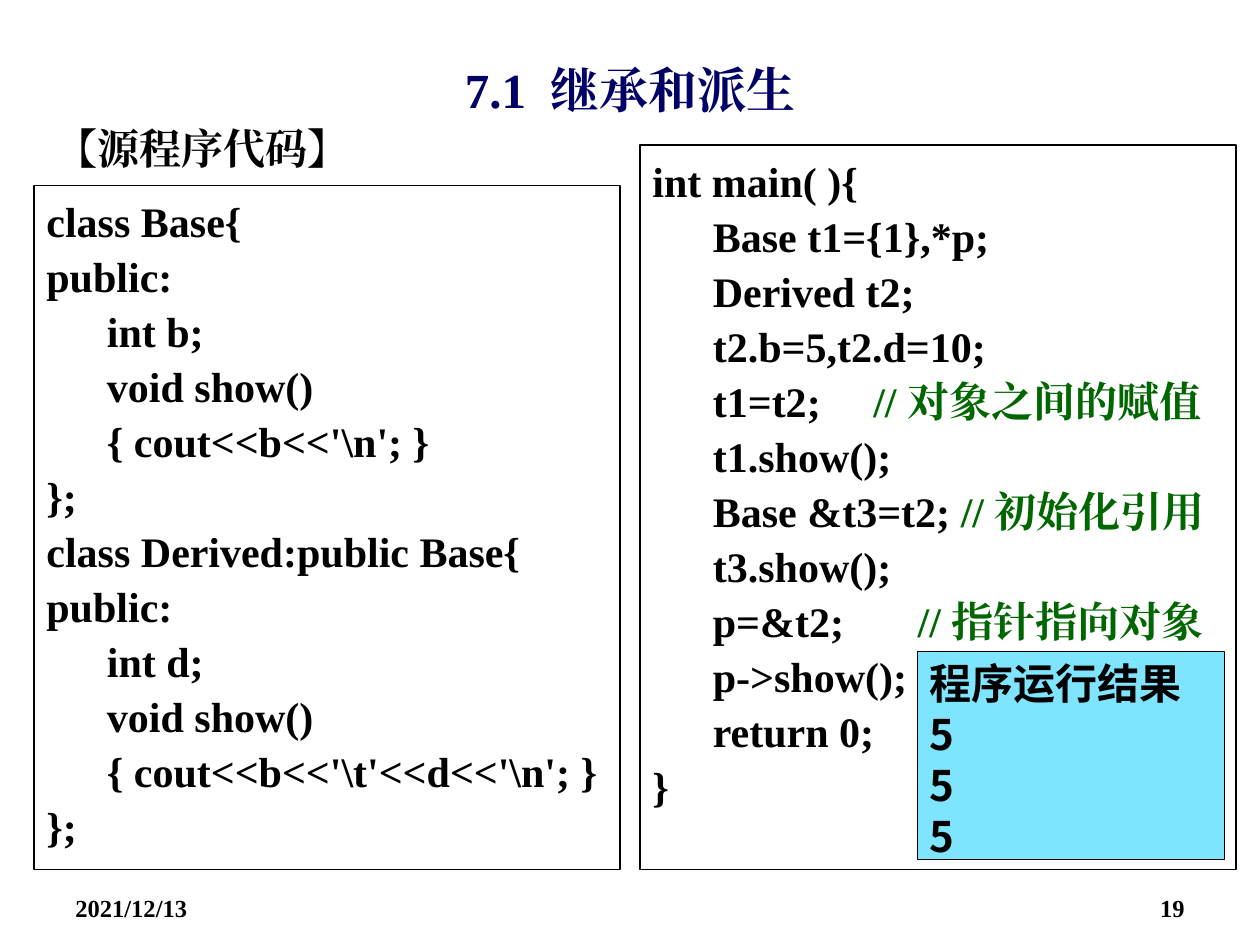
from dataclasses import dataclass

from lxml import etree
from pptx import Presentation
from pptx.dml.color import RGBColor
from pptx.enum.shapes import MSO_SHAPE
from pptx.enum.text import MSO_ANCHOR, PP_ALIGN
from pptx.oxml.ns import qn
from pptx.util import Inches, Pt

RECT = MSO_SHAPE.RECTANGLE
TOP, MIDDLE = MSO_ANCHOR.TOP, MSO_ANCHOR.MIDDLE
LEFT, CENTER, RIGHT = PP_ALIGN.LEFT, PP_ALIGN.CENTER, PP_ALIGN.RIGHT


@dataclass(frozen=True)
class Theme:
    serif: str = "Times New Roman"
    sans: str = "Noto Sans CJK SC"
    ink: str = "000000"
    title: str = "000066"
    comment: str = "006600"
    result: str = "00CCFF"
    result_alpha: int = 50
    title_size: int = 28
    text_size: int = 24
    footer_size: int = 14
    code_pitch: float = 31.4
    result_pitch: float = 29
    border: float = 0.75


THEME = Theme()

# Content: code lines are (indent level, code, comment)
TITLE = "7.1  继承和派生"
HEADING = "【源程序代码】"
DATE, PAGE = "2021/12/13", "19"
CLASSES = [
    (0, "class Base{", ""),
    (0, "public:", ""),
    (1, "int b;", ""),
    (1, "void show()", ""),
    (1, r"{ cout<<b<<'\n'; }", ""),
    (0, "};", ""),
    (0, "class Derived:public Base{", ""),
    (0, "public:", ""),
    (1, "int d;", ""),
    (1, "void show()", ""),
    (1, r"{ cout<<b<<'\t'<<d<<'\n'; }", ""),
    (0, "};", ""),
]
MAIN = [
    (0, "int main( ){", ""),
    (1, "Base t1={1},*p;", ""),
    (1, "Derived t2;", ""),
    (1, "t2.b=5,t2.d=10;", ""),
    (1, "t1=t2;     ", "// 对象之间的赋值"),
    (1, "t1.show();", ""),
    (1, "Base &t3=t2; ", "// 初始化引用"),
    (1, "t3.show();", ""),
    (1, "p=&t2;       ", "// 指针指向对象"),
    (1, "p->show();", ""),
    (1, "return 0;", ""),
    (0, "}", ""),
]
RESULTS = [(0, line, "") for line in ("程序运行结果", "5", "5", "5")]

# Layout in inches: both code panels end on one base line
WIDTH, HEIGHT = 10, 7.5
MARGIN = 0.5
BASE = 6.9
FOOTER_TOP, FOOTER_W, FOOTER_H = 7.06, 2.33, 0.29
INDENTS = [(0.38, -0.38), (0.78, -0.3)]


def style_run(run, size, color=THEME.ink, face=THEME.serif):
    run.font.size = Pt(size)
    run.font.bold = True
    run.font.name = face
    run.font.color.rgb = RGBColor.from_string(color)
    east_asian = etree.SubElement(run.font._element, qn("a:ea"))
    east_asian.set("typeface", face)


def set_line(shape, text, size, color=THEME.ink, align=LEFT, anchor=MIDDLE):
    frame = shape.text_frame
    frame.text = text
    frame.word_wrap = True
    frame.vertical_anchor = anchor
    paragraph = frame.paragraphs[0]
    paragraph.alignment = align
    style_run(paragraph.runs[0], size, color)


def add_line(slide, box, text, size, **options):
    set_line(slide.shapes.add_textbox(*map(Inches, box)), text, size, **options)


def add_panel(slide, box, lines, pitch, face=THEME.serif):
    panel = slide.shapes.add_shape(RECT, *map(Inches, box))
    panel.shadow.inherit = False
    panel.fill.background()
    panel.line.color.rgb = RGBColor.from_string(THEME.ink)
    panel.line.width = Pt(THEME.border)
    frame = panel.text_frame
    frame.word_wrap = True
    frame.vertical_anchor = TOP
    for number, (level, code, comment) in enumerate(lines):
        paragraph = frame.add_paragraph() if number else frame.paragraphs[0]
        paragraph.alignment = LEFT
        paragraph.level = level
        paragraph.line_spacing = Pt(pitch)
        left, hanging = INDENTS[level]
        properties = paragraph._p.get_or_add_pPr()
        properties.set("marL", str(Inches(left)))
        properties.set("indent", str(Inches(hanging)))
        for text, color in ((code, THEME.ink), (comment, THEME.comment)):
            if text:
                run = paragraph.add_run()
                run.text = text
                style_run(run, THEME.text_size, color, face)
    return panel


def main():
    deck = Presentation()
    deck.slide_width, deck.slide_height = Inches(WIDTH), Inches(HEIGHT)
    slide = deck.slides.add_slide(deck.slide_layouts.get_by_name("Title Only"))

    # Title and heading
    title = slide.shapes.title
    title.left, title.top = Inches(MARGIN), Inches(0.36)
    title.width, title.height = Inches(WIDTH - 2 * MARGIN), Inches(0.69)
    set_line(title, TITLE, THEME.title_size, THEME.title, CENTER)
    add_line(slide, (0.34, 0.91, 9.3, 0.53), HEADING, THEME.text_size)

    # Code panels
    for left, top, width, lines in ((0.27, 1.47, 4.65, CLASSES), (5.08, 1.15, 4.73, MAIN)):
        add_panel(slide, (left, top, width, BASE - top), lines, THEME.code_pitch)

    # Program output
    output = add_panel(slide, (7.28, 5.17, 2.44, 1.65), RESULTS, THEME.result_pitch, THEME.sans)
    output.fill.solid()
    output.fill.fore_color.rgb = RGBColor.from_string(THEME.result)
    tint = output._element.spPr.find(qn("a:solidFill"))[0]
    etree.SubElement(tint, qn("a:alpha")).set("val", str(THEME.result_alpha * 1000))

    # Footer
    for left, text, align in ((MARGIN, DATE, LEFT), (WIDTH - MARGIN - FOOTER_W, PAGE, RIGHT)):
        box = (left, FOOTER_TOP, FOOTER_W, FOOTER_H)
        add_line(slide, box, text, THEME.footer_size, align=align)

    deck.save("out.pptx")


if __name__ == "__main__":
    main()
